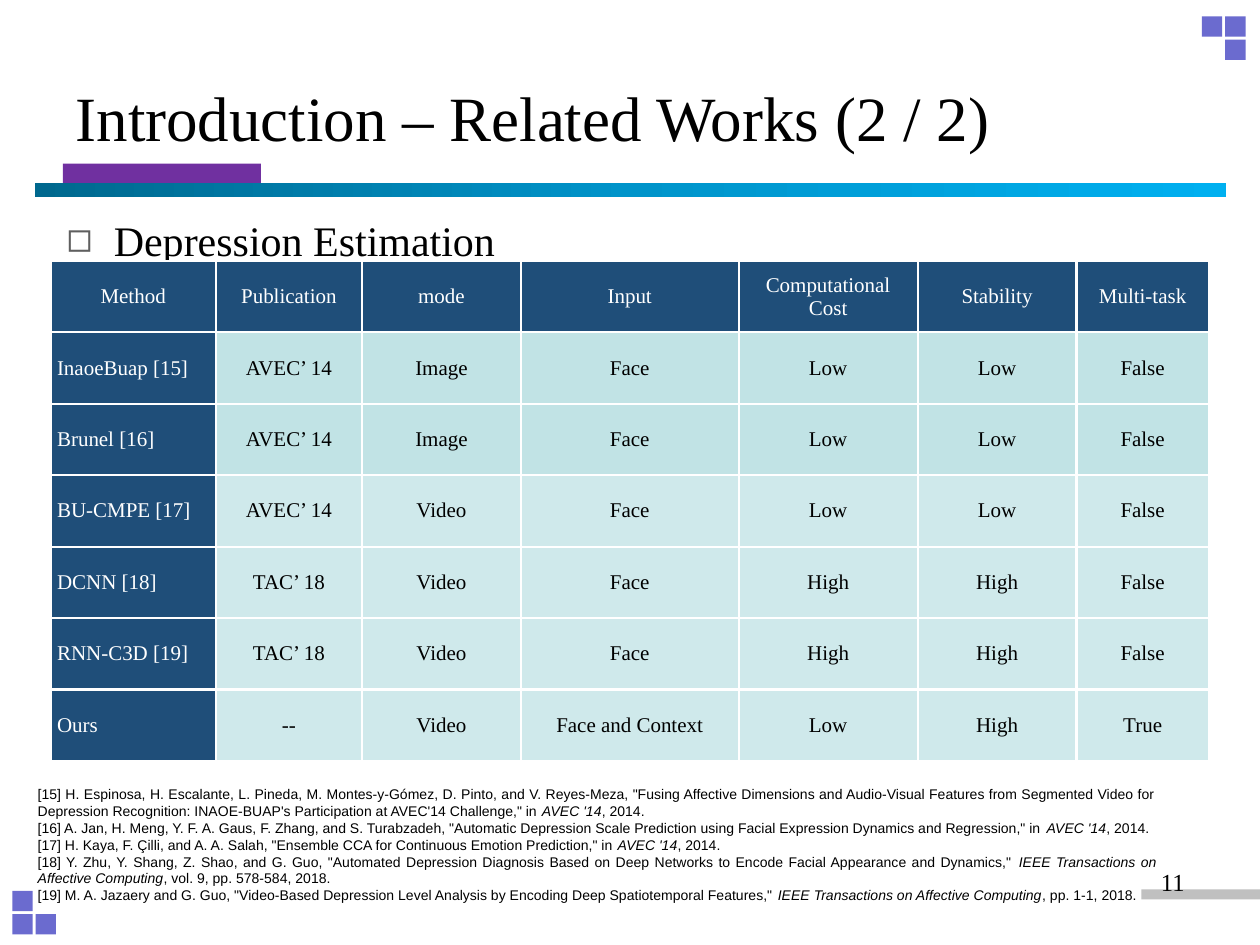
"""Build the related-works slide with its comparison table and references."""
from copy import deepcopy
from dataclasses import dataclass
from typing import NamedTuple

from lxml.etree import SubElement
from pptx import Presentation
from pptx.dml.color import RGBColor
from pptx.enum.shapes import MSO_SHAPE
from pptx.enum.text import MSO_ANCHOR, MSO_AUTO_SIZE, PP_ALIGN
from pptx.oxml.ns import qn
from pptx.util import Cm, Pt


@dataclass(frozen=True)
class Theme:
    serif: str = "Times New Roman"
    sans: str = "Arial"
    black: str = "000000"
    white: str = "FFFFFF"
    navy: str = "1F4E79"
    mint: str = "BBE0E3"
    violet: str = "6B6BCF"
    purple: str = "7030A0"
    silver: str = "C0C0C0"
    bullet: str = "5F5F5F"
    bar: tuple = ((0, "00688E"), (0.5, "0094CA"), (1, "00B0F0"))
    title_size: int = 36
    body_size: int = 24
    number_size: int = 14
    table_size: int = 12
    reference_size: int = 8
    border_width: float = 1.5


class Area(NamedTuple):
    left: float
    top: float
    width: float
    height: float


class Corner(NamedTuple):
    left: float
    top: float
    cells: tuple


class Method(NamedTuple):
    name: str
    publication: str
    mode: str
    source: str
    cost: str
    stability: str
    multi_task: str
    opacity: int = 70


class Reference(NamedTuple):
    citation: str
    venue: str
    ending: str


THEME = Theme()
SQUARE, STEP = 0.41, 0.47
CORNERS = (
    Corner(24.23, 0.33, ((0, 0), (1, 0), (1, 1))),
    Corner(0.25, 17.96, ((0, 0), (0, 1), (1, 1))),
)
TABLE_AREA = Area(1.02, 5.26, 23.35, 10.08)
COLUMN_WIDTHS = (3.33, 2.95, 3.2, 4.39, 3.61, 3.2, 2.67)
HEADERS = ("Method", "Publication", "mode", "Input", "Computational Cost", "Stability", "Multi-task")
METHODS = (
    Method("InaoeBuap [15]", "AVEC’ 14", "Image", "Face", "Low", "Low", "False", 90),
    Method("Brunel [16]", "AVEC’ 14", "Image", "Face", "Low", "Low", "False", 90),
    Method("BU-CMPE [17]", "AVEC’ 14", "Video", "Face", "Low", "Low", "False"),
    Method("DCNN [18]", "TAC’ 18", "Video", "Face", "High", "High", "False"),
    Method("RNN-C3D [19]", "TAC’ 18", "Video", "Face", "High", "High", "False"),
    Method("Ours", "--", "Video", "Face and Context", "Low", "High", "True"),
)
AVEC = "AVEC '14"
TAC = "IEEE Transactions on Affective Computing"
REFERENCES = (
    Reference('[15] H. Espinosa, H. Escalante, L. Pineda, M. Montes-y-Gómez, D. Pinto, and V. Reyes-Meza, '
              '"Fusing Affective Dimensions and Audio-Visual Features from Segmented Video for Depression '
              'Recognition: INAOE-BUAP\'s Participation at AVEC\'14 Challenge," in ', AVEC, ", 2014."),
    Reference('[16] A. Jan, H. Meng, Y. F. A. Gaus, F. Zhang, and S. Turabzadeh, "Automatic Depression Scale '
              'Prediction using Facial Expression Dynamics and Regression," in ', AVEC, ", 2014."),
    Reference('[17] H. Kaya, F. Çilli, and A. A. Salah, "Ensemble CCA for Continuous Emotion Prediction," in ',
              AVEC, ", 2014."),
    Reference('[18] Y. Zhu, Y. Shang, Z. Shao, and G. Guo, "Automated Depression Diagnosis Based on Deep '
              'Networks to Encode Facial Appearance and Dynamics," ', TAC, ", vol. 9, pp. 578-584, 2018."),
    Reference('[19] M. A. Jazaery and G. Guo, "Video-Based Depression Level Analysis by Encoding Deep '
              'Spatiotemporal Features," ', TAC, ", pp. 1-1, 2018."),
)


def lengths(area: Area) -> list:
    return [Cm(value) for value in area]


def style(para, size: int, align=PP_ALIGN.LEFT, color: str = THEME.black, face: str = THEME.serif) -> None:
    para.alignment = align
    for span in para.runs:
        span.font.size = Pt(size)
        span.font.name = face
        span.font.color.rgb = RGBColor.from_string(color)


def add_block(page, area: Area, color: str):
    block = page.shapes.add_shape(MSO_SHAPE.RECTANGLE, *lengths(area))
    block.shadow.inherit = False
    block.line.fill.background()
    block.fill.solid()
    block.fill.fore_color.rgb = RGBColor.from_string(color)
    return block


def add_gradient_bar(page, area: Area) -> None:
    bar = add_block(page, area, THEME.bar[0][1])
    bar.fill.gradient()
    bar.fill.gradient_angle = 0
    stops = bar.element.find(".//" + qn("a:gsLst"))
    stops.insert(1, deepcopy(stops[0]))
    for stop, (position, color) in zip(bar.fill.gradient_stops, THEME.bar):
        stop.position = position
        stop.color.rgb = RGBColor.from_string(color)


def add_decoration(page) -> None:
    add_block(page, Area(23.01, 17.93, 2.39, 0.2), THEME.silver)
    add_block(page, Area(1.27, 3.3, 3.99, 0.41), THEME.purple)
    add_gradient_bar(page, Area(0.71, 3.68, 24, 0.3))
    for corner in CORNERS:
        for column, row in corner.cells:
            area = Area(corner.left + column * STEP, corner.top + row * STEP, SQUARE, SQUARE)
            add_block(page, area, THEME.violet)


def fill_placeholder(box, area: Area, text: str, size: int, align) -> None:
    box.left, box.top, box.width, box.height = lengths(area)
    frame = box.text_frame
    frame.text = text
    frame.auto_size = MSO_AUTO_SIZE.NONE
    style(frame.paragraphs[0], size, align)


def add_bullet(para) -> None:
    properties = para._p.get_or_add_pPr()
    properties.set("marL", str(Cm(0.95)))
    properties.set("indent", str(-Cm(0.95)))
    color = SubElement(properties, qn("a:buClr"))
    SubElement(color, qn("a:srgbClr"), val=THEME.bullet)
    SubElement(properties, qn("a:buChar"), char="◻")
    para.space_before = Pt(0)


def draw_cell(cell, text: str, color: str, fill: str, opacity: int, align, margins: tuple) -> None:
    properties = cell._tc.get_or_add_tcPr()
    for side in ("a:lnL", "a:lnR", "a:lnT", "a:lnB"):
        line = SubElement(properties, qn(side), w=str(Pt(THEME.border_width)))
        SubElement(SubElement(line, qn("a:solidFill")), qn("a:srgbClr"), val=THEME.white)
    cell.fill.solid()
    cell.fill.fore_color.rgb = RGBColor.from_string(fill)
    if opacity < 100:
        tint = properties.find(qn("a:solidFill")).find(qn("a:srgbClr"))
        SubElement(tint, qn("a:alpha"), val=str(opacity * 1000))
    cell.vertical_anchor = MSO_ANCHOR.MIDDLE
    cell.margin_left = cell.margin_right = Cm(margins[0])
    cell.margin_top = cell.margin_bottom = Cm(margins[1])
    cell.text_frame.text = text
    style(cell.text_frame.paragraphs[0], THEME.table_size, align, color)


def add_comparison(page) -> None:
    rows = len(METHODS) + 1
    table = page.shapes.add_table(rows, len(HEADERS), *lengths(TABLE_AREA)).table
    table.first_row = table.horz_banding = False
    for column, width in zip(table.columns, COLUMN_WIDTHS):
        column.width = Cm(width)
    for row in table.rows:
        row.height = Cm(TABLE_AREA.height / rows)
    for index, header in enumerate(HEADERS):
        draw_cell(table.cell(0, index), header, THEME.white, THEME.navy, 100, PP_ALIGN.CENTER, (0.18, 0.08))
    for row, method in enumerate(METHODS, 1):
        draw_cell(table.cell(row, 0), method.name, THEME.white, THEME.navy, 100, PP_ALIGN.LEFT, (0.13, 0.13))
        for column, text in enumerate(method[1:-1], 1):
            margins = (0.13, 0.13) if column == 1 else (0.18, 0.08)
            draw_cell(table.cell(row, column), text, THEME.black, THEME.mint, method.opacity,
                      PP_ALIGN.CENTER, margins)


def add_text_box(page, area: Area):
    frame = page.shapes.add_textbox(*lengths(area)).text_frame
    frame.word_wrap = True
    return frame


def add_references(page) -> None:
    frame = add_text_box(page, Area(0.51, 15.72, 23.06, 2.64))
    for index, reference in enumerate(REFERENCES):
        para = frame.add_paragraph() if index else frame.paragraphs[0]
        for part in reference:
            para.add_run().text = part
        para.runs[1].font.italic = True
        style(para, THEME.reference_size, PP_ALIGN.JUSTIFY, face=THEME.sans)


def main() -> None:
    deck = Presentation()
    deck.slide_width, deck.slide_height = Cm(25.4), Cm(19.05)
    page = deck.slides.add_slide(deck.slide_layouts[1])
    title, body = page.placeholders
    add_decoration(page)
    fill_placeholder(title, Area(1.27, 0.76, 22.86, 3.18), "Introduction – Related Works (2 / 2)",
                     THEME.title_size, PP_ALIGN.LEFT)
    add_comparison(page)
    add_references(page)
    number = add_text_box(page, Area(18.21, 17.35, 5.92, 1.32))
    number.text = "11"
    style(number.paragraphs[0], THEME.number_size, PP_ALIGN.RIGHT)
    fill_placeholder(body, Area(1.09, 4.19, 23.39, 7.19), "Depression Estimation",
                     THEME.body_size, PP_ALIGN.JUSTIFY)
    add_bullet(body.text_frame.paragraphs[0])
    deck.save("out.pptx")


if __name__ == "__main__":
    main()
